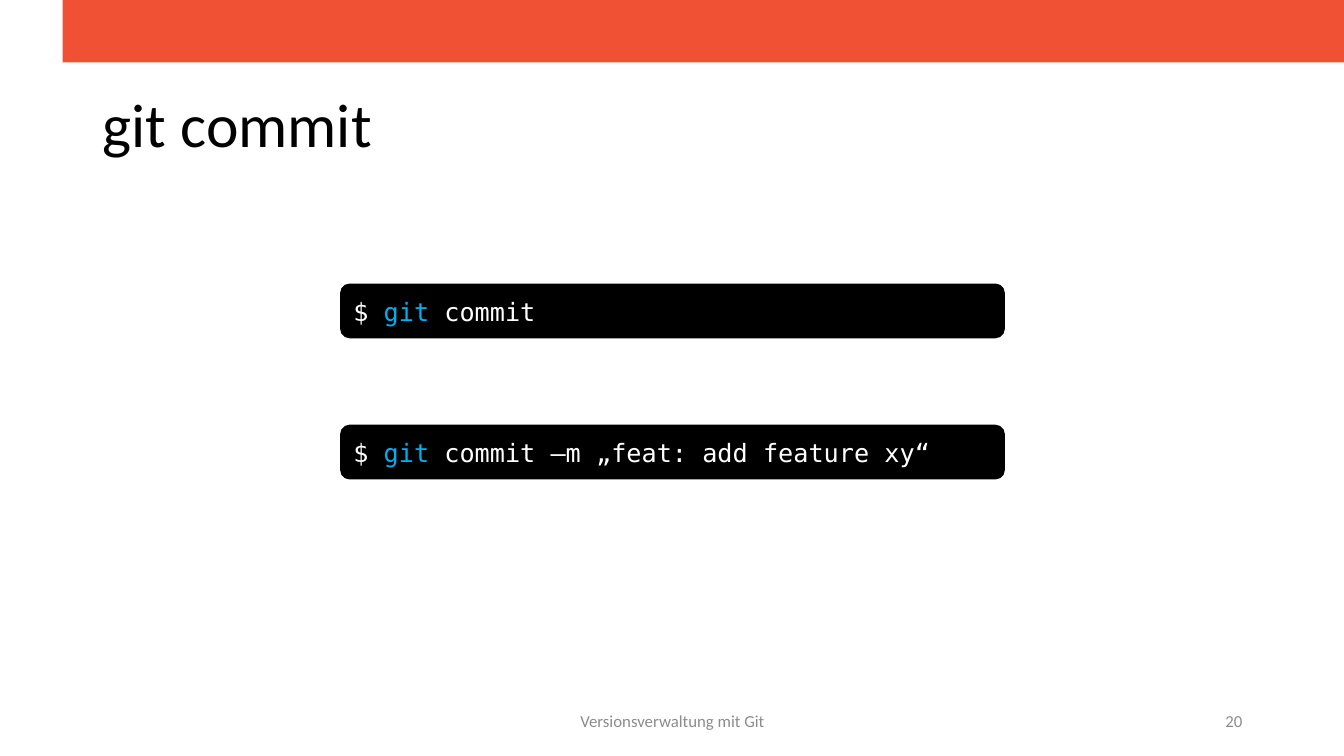
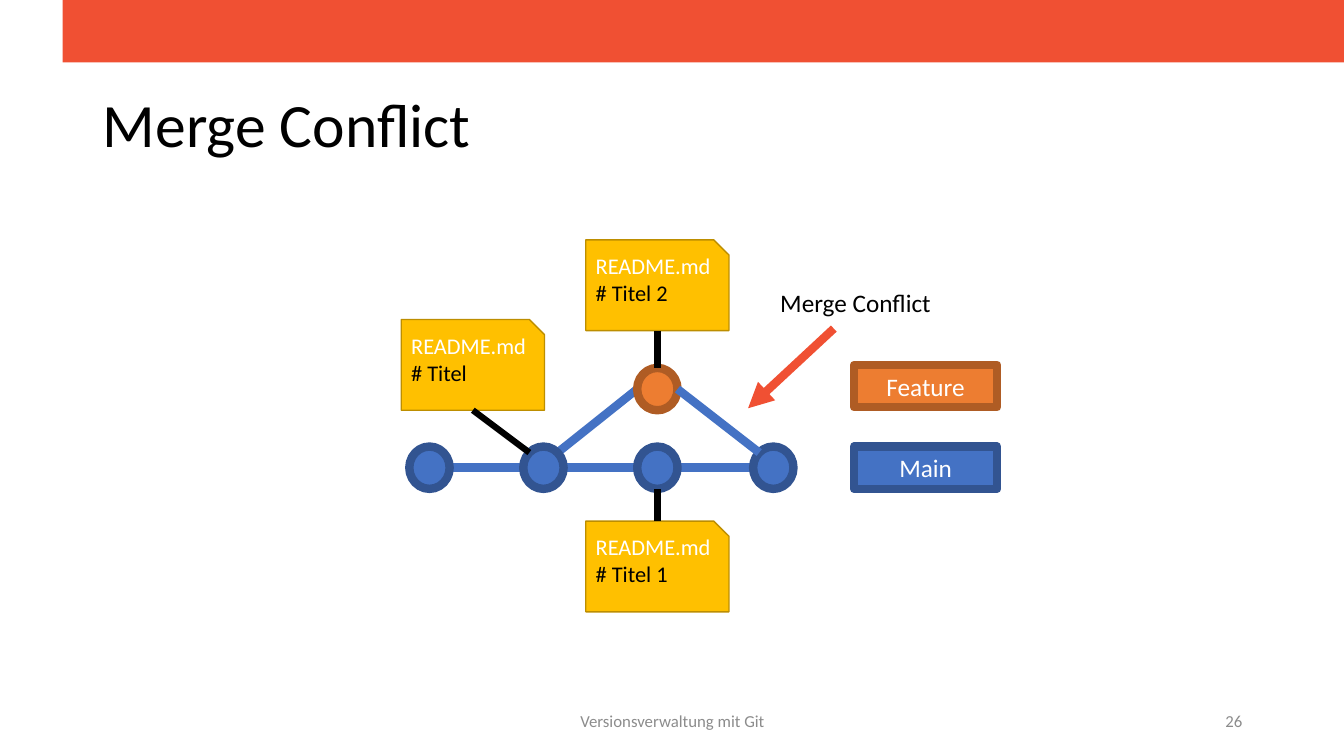
from itertools import pairwise
from lxml import etree
from pptx import Presentation, util as u
from pptx.dml.color import RGBColor
from pptx.enum import shapes as es, text as et
from pptx.oxml.ns import qn


class Theme:
    red, black, white, grey = "F05033", "000000", "FFFFFF", "8C8C8C"
    cyan, gold, ochre = "00B0F0", "FFC000", "BD8E00"
    main = ("4472C4", "325491")
    feature = ("ED7D31", "AF5C24")
    sans, mono = "Calibri", "DejaVu Sans Mono"
    title, label, file, foot = 44, 18, 16, 12
    thick, stem, thin = 6, 4.5, 1


Kind, Align, Anchor = es.MSO_SHAPE, et.PP_ALIGN, et.MSO_ANCHOR
left, mid, right = Align.LEFT, Align.CENTER, Align.RIGHT


def put(shape, paras=(), paint=None, edge=None, width=Theme.thin, size=Theme.label,
        name=Theme.sans, align=left, anchor=Anchor.MIDDLE, wrap=True):
    """Paint a shape and write paragraphs, each a list of (text, colour) runs."""
    if paint:
        shape.shadow.inherit = False
        shape.fill.solid()
        shape.fill.fore_color.rgb = RGBColor.from_string(paint)
        if edge:
            shape.line.color.rgb = RGBColor.from_string(edge)
            shape.line.width = u.Pt(width)
        else:
            shape.line.fill.background()
    frame = shape.text_frame
    look = {"word_wrap": wrap, "auto_size": et.MSO_AUTO_SIZE.NONE, "vertical_anchor": anchor}
    for key, val in look.items():
        setattr(frame, key, val)
    for i, runs in enumerate(paras):
        para = frame.add_paragraph() if i else frame.paragraphs[0]
        para.alignment = align
        for words, tint in runs:
            run = para.add_run()
            run.text = words
            for key, val in {"name": name, "size": u.Pt(size)}.items():
                setattr(run.font, key, val)
            run.font.color.rgb = RGBColor.from_string(tint)


def link(slide, ends, tint, width=Theme.thick, arrow=False):
    """Draw a straight line from x1, y1 to x2, y2."""
    line = slide.shapes.add_connector(es.MSO_CONNECTOR.STRAIGHT, *map(u.Inches, ends))
    line.line.color.rgb = RGBColor.from_string(tint)
    line.line.width = u.Pt(width)
    if arrow:
        etree.SubElement(line.line._get_or_add_ln(), qn("a:tailEnd"), type="triangle")
    etree.SubElement(line.element.spPr, qn("a:effectLst"))


deck = Presentation()
deck.slide_width, deck.slide_height = u.Inches(13.33), u.Inches(7.5)
layout = deck.slide_layouts[5]

# Shared title and footer
slides = []
for head, page in (("git commit", "20"), ("Merge Conflict", "26")):
    slide = deck.slides.add_slide(layout)
    slides.append(slide)
    title = slide.shapes.title
    place = {"left": 0.92, "top": 0.69, "width": 11.5, "height": 1.16}
    for key, val in place.items():
        setattr(title, key, u.Inches(val))
    put(title, [[(head, Theme.black)]], size=Theme.title)
    title.text_frame.paragraphs[0].line_spacing = 0.9
    for x, w, words, align in ((4.42, 4.5, "Versionsverwaltung mit Git", mid),
                               (9.42, 3, page, right)):
        box = slide.shapes.add_textbox(*map(u.Inches, (x, 6.95, w, 0.4)))
        put(box, [[(words, Theme.grey)]], size=Theme.foot, align=align)
commit, merge = slides

# Shared band, moved to the layout
band = commit.shapes.add_shape(Kind.RECTANGLE, *map(u.Inches, (0.62, 0, 12.72, 0.62)))
put(band, paint=Theme.red)
layout.shapes.element.append(band.element)

# Terminal lines
for y, words in ((2.82, "commit"), (4.22, "commit –m „feat: add feature xy“")):
    term = commit.shapes.add_shape(Kind.ROUNDED_RECTANGLE,
                                   *map(u.Inches, (3.38, y, 6.58, 0.53)))
    code = [("$ ", Theme.white), ("git ", Theme.cyan), (words, Theme.white)]
    put(term, [code], Theme.black, Theme.black, name=Theme.mono)

# Branch lines below the commits
cols, wide, high = (4.06, 5.19, 6.32, 7.47), 0.4, 0.42
main_y, top_y = 4.43, 3.65
axis = main_y + high / 2
for a, b in pairwise(cols):
    link(merge, (a + wide, axis, b, axis), Theme.main[0])
link(merge, (5.53, 4.49, cols[2], top_y + high / 2), Theme.main[0])

# Commits
dots = [(x, main_y, Theme.main) for x in cols] + [(cols[2], top_y, Theme.feature)]
for x, y, tints in dots:
    dot = merge.shapes.add_shape(Kind.OVAL, *map(u.Inches, (x, y, wide, high)))
    put(dot, (), *tints, width=Theme.thick)

# Merge line and conflict arrow
link(merge, (7.53, 4.49, cols[2] + wide, top_y + high / 2), Theme.main[0])
link(merge, (8.27, 3.26, 7.42, 4.05), Theme.red, arrow=True)
note = merge.shapes.add_textbox(*map(u.Inches, (7.64, 2.8, 1.71, 0.4)))
put(note, [[("Merge Conflict", Theme.black)]], anchor=Anchor.TOP, wrap=False)

# File cards
for x, y, words in ((5.81, 5.17, "# Titel 1"), (5.81, 2.38, "# Titel 2"),
                    (3.98, 3.17, "# Titel")):
    card = merge.shapes.add_shape(Kind.SNIP_1_RECTANGLE, *map(u.Inches, (x, y, 1.42, 0.9)))
    put(card, [[("README.md", Theme.white)], [(words, Theme.black)]],
        Theme.gold, Theme.ochre, size=Theme.file, anchor=Anchor.TOP)

# Stems from commits to cards
for ends in ((6.52, 3.65, 6.52, 3.28), (6.52, 5.17, 6.52, 4.85), (5.25, 4.49, 4.69, 4.07)):
    link(merge, ends, Theme.black, Theme.stem)

# Branch legend
for y, words, tints in ((3.62, "Feature", Theme.feature), (main_y, "Main", Theme.main)):
    key = merge.shapes.add_shape(Kind.RECTANGLE, *map(u.Inches, (8.47, y, 1.42, high)))
    put(key, [[(words, Theme.white)]], *tints, width=Theme.thick, align=mid)

deck.save("out.pptx")
